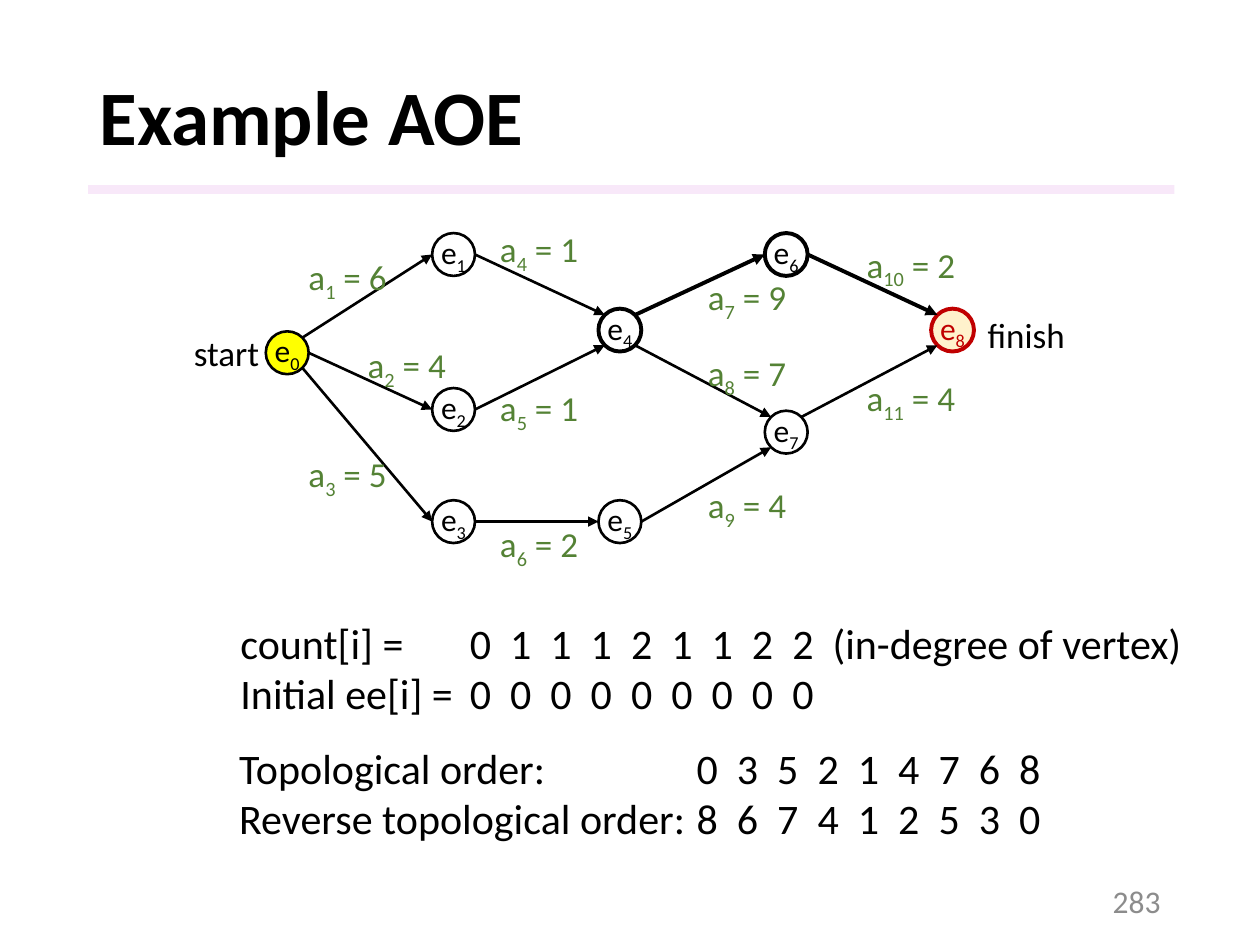
from dataclasses import dataclass
from math import cos, radians, sin

from lxml.etree import SubElement
from pptx import Presentation
from pptx.dml.color import RGBColor
from pptx.enum.shapes import MSO_CONNECTOR, MSO_SHAPE
from pptx.enum.text import MSO_ANCHOR, MSO_AUTO_SIZE, PP_ALIGN
from pptx.oxml.ns import qn
from pptx.util import Inches, Pt

FONT = "Calibri"
BLACK = "000000"
RED = "C00000"
GREEN = "548235"
DIAMETER = 0.34
FIRST_COLUMN = 2.11
COLUMN_STEP = 1.32
DIGIT_STEP = 0.32
RIGHT, LOWER_RIGHT, LOWER_LEFT, LEFT, UPPER_LEFT, UPPER_RIGHT = 0, 45, 135, 180, 225, 315


@dataclass
class Event:
    column: int
    top: float
    color: str = BLACK
    fill: str | None = None
    width: float = 1.5

    @property
    def left(self) -> float:
        return FIRST_COLUMN + self.column * COLUMN_STEP

    def site(self, angle: int) -> tuple[float, float]:
        radius = DIAMETER / 2
        return (self.left + radius + radius * cos(radians(angle)),
                self.top + radius + radius * sin(radians(angle)))


@dataclass
class Activity:
    duration: int
    start: int
    start_angle: int
    end: int
    end_angle: int
    label_left: float
    label_top: float
    width: float = 1.5


@dataclass
class Span:
    text: str
    subscript: bool = False


@dataclass
class NumberTable:
    left: float
    top: float
    width: float
    first_tab: float
    rows: list[str]


EVENTS = [
    Event(0, 2.63, fill="FFFF00"),
    Event(1, 1.85),
    Event(1, 3.08),
    Event(1, 3.97),
    Event(2, 2.45, width=2.25),
    Event(2, 3.97),
    Event(3, 1.85, width=2.25),
    Event(3, 3.26),
    Event(4, 2.45, color=RED, fill="FFF2CC", width=2.25),
]

ACTIVITIES = [
    Activity(6, 0, UPPER_RIGHT, 1, LEFT, 2.35, 1.98),
    Activity(4, 0, RIGHT, 2, LEFT, 2.82, 2.68),
    Activity(5, 0, LOWER_RIGHT, 3, LEFT, 2.35, 3.54),
    Activity(1, 1, RIGHT, 4, UPPER_LEFT, 3.87, 1.76),
    Activity(1, 2, RIGHT, 4, LOWER_LEFT, 3.87, 3.02),
    Activity(2, 3, RIGHT, 5, LEFT, 3.87, 4.1),
    Activity(9, 4, UPPER_RIGHT, 6, LEFT, 5.52, 2.14, 2.25),
    Activity(7, 4, LOWER_RIGHT, 7, UPPER_LEFT, 5.52, 2.74),
    Activity(4, 5, RIGHT, 7, LOWER_LEFT, 5.52, 3.79),
    Activity(2, 6, RIGHT, 8, UPPER_LEFT, 6.78, 1.88, 2.25),
    Activity(4, 7, UPPER_RIGHT, 8, LOWER_LEFT, 6.78, 2.94),
]

TABLES = [
    NumberTable(1.8, 5.84, 6.59, 3.63, [
        "Topological order:\t0\t3\t5\t2\t1\t4\t7\t6\t8",
        "Reverse topological order:\t8\t6\t7\t4\t1\t2\t5\t3\t0",
    ]),
    NumberTable(1.81, 4.85, 7.72, 1.82, [
        "count[i] =\t0\t1\t1\t1\t2\t1\t1\t2\t2\t(in-degree of vertex)",
        "Initial ee[i] =\t0\t0\t0\t0\t0\t0\t0\t0\t0",
    ]),
]


def rgb(color: str) -> RGBColor:
    return RGBColor.from_string(color)


def write(frame, *lines: list[Span], size: float = 20, color: str = BLACK,
          bold: bool = False, align=PP_ALIGN.LEFT, anchor=MSO_ANCHOR.TOP) -> None:
    frame.vertical_anchor = anchor
    for index, spans in enumerate(lines):
        para = frame.add_paragraph() if index else frame.paragraphs[0]
        para.alignment = align
        for span in spans:
            run = para.add_run()
            run.text = span.text
            run.font.name = FONT
            run.font.size = Pt(size)
            run.font.bold = bold
            run.font.color.rgb = rgb(color)
            if span.subscript:
                run.font._element.set("baseline", "-25000")


def add_label(page, left: float, top: float, width: float, height: float,
              *lines: list[Span], **style):
    box = page.shapes.add_textbox(Inches(left), Inches(top), Inches(width), Inches(height))
    box.text_frame.word_wrap = False
    box.text_frame.auto_size = MSO_AUTO_SIZE.SHAPE_TO_FIT_TEXT
    write(box.text_frame, *lines, **style)
    return box


def add_title(page) -> None:
    title = page.shapes.title
    title.left, title.top = Inches(0.69), Inches(0.4)
    title.width, title.height = Inches(8.62), Inches(1.11)
    write(title.text_frame, [Span("Example AOE")], size=44, bold=True,
          anchor=MSO_ANCHOR.MIDDLE)
    title.text_frame.paragraphs[0].line_spacing = 0.9


def add_rule(page) -> None:
    rule = page.shapes.add_shape(MSO_SHAPE.RECTANGLE, Inches(0.7), Inches(1.47),
                                 Inches(8.62), Inches(0.07))
    rule.shadow.inherit = False
    rule.line.fill.background()
    rule.fill.solid()
    rule.fill.fore_color.rgb = rgb("F3D2F4")
    color = rule._element.spPr.find(qn("a:solidFill")).find(qn("a:srgbClr"))
    SubElement(color, qn("a:alpha")).set("val", "50000")


def add_event(page, number: int, event: Event) -> None:
    circle = page.shapes.add_shape(MSO_SHAPE.OVAL, Inches(event.left), Inches(event.top),
                                   Inches(DIAMETER), Inches(DIAMETER))
    circle.shadow.inherit = False
    circle.line.color.rgb = rgb(event.color)
    circle.line.width = Pt(event.width)
    if event.fill:
        circle.fill.solid()
        circle.fill.fore_color.rgb = rgb(event.fill)
    else:
        circle.fill.background()
    frame = circle.text_frame
    frame.margin_left = frame.margin_right = 0
    write(frame, [Span("e"), Span(str(number), True)], size=18, color=event.color,
          align=PP_ALIGN.CENTER, anchor=MSO_ANCHOR.MIDDLE)


def add_activity(page, number: int, activity: Activity) -> None:
    start = EVENTS[activity.start].site(activity.start_angle)
    end = EVENTS[activity.end].site(activity.end_angle)
    arrow = page.shapes.add_connector(MSO_CONNECTOR.STRAIGHT,
                                      *(Inches(length) for length in start + end))
    arrow.line.color.rgb = rgb(BLACK)
    arrow.line.width = Pt(activity.width)
    SubElement(arrow.line._get_or_add_ln(), qn("a:tailEnd")).set("type", "triangle")
    SubElement(arrow._element.spPr, qn("a:effectLst"))
    add_label(page, activity.label_left, activity.label_top, 0.84 if number < 10 else 0.93, 0.44,
              [Span("a"), Span(str(number), True), Span(f" = {activity.duration}")], color=GREEN)


def add_number_table(page, table: NumberTable) -> None:
    box = add_label(page, table.left, table.top, table.width, 0.91,
                    *([Span(row)] for row in table.rows), size=24)
    for para, row in zip(box.text_frame.paragraphs, table.rows):
        tabs = SubElement(para._p.get_or_add_pPr(), qn("a:tabLst"))
        for index in range(row.count("\t")):
            tab = SubElement(tabs, qn("a:tab"))
            tab.set("pos", str(Inches(table.first_tab + index * DIGIT_STEP)))
            tab.set("algn", "l")


def main() -> None:
    deck = Presentation()
    deck.slide_width, deck.slide_height = Inches(10), Inches(7.5)
    page = deck.slides.add_slide(deck.slide_layouts[5])
    add_rule(page)
    add_title(page)
    add_label(page, 7.06, 6.95, 2.25, 0.4, [Span("283")], size=18, color="8C8C8C",
              align=PP_ALIGN.RIGHT, anchor=MSO_ANCHOR.MIDDLE)
    for number, event in enumerate(EVENTS):
        add_event(page, number, event)
    for number, activity in enumerate(ACTIVITIES, 1):
        add_activity(page, number, activity)
    add_label(page, 1.44, 2.58, 0.73, 0.44, [Span("start")])
    add_label(page, 7.74, 2.44, 0.82, 0.44, [Span("finish")])
    for table in TABLES:
        add_number_table(page, table)
    deck.save("out.pptx")


if __name__ == "__main__":
    main()
